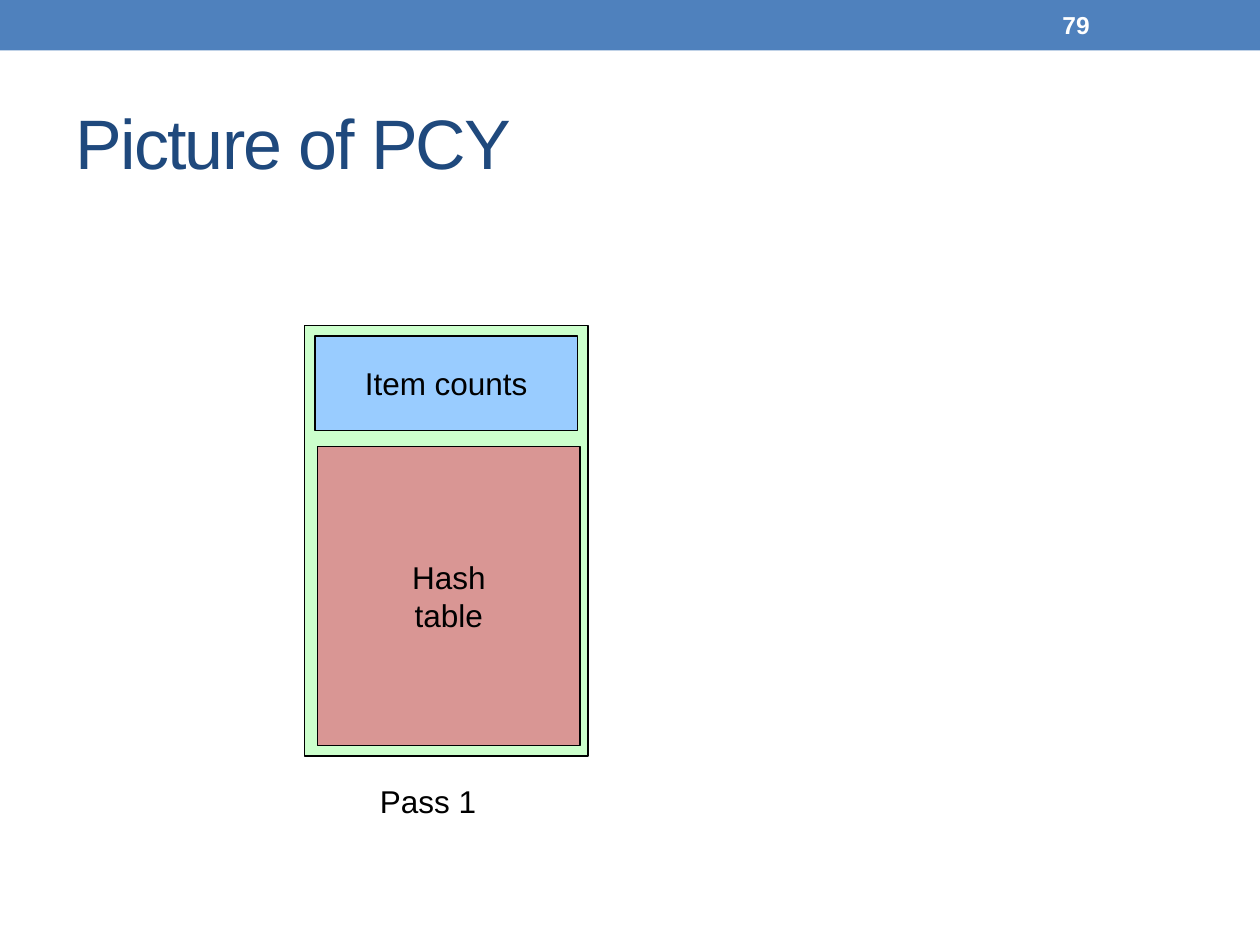
"""Build the slide showing main memory in pass 1 of PCY."""
import dataclasses
import typing

import pptx
import pptx.dml.color
import pptx.enum.shapes
import pptx.enum.text
import pptx.util

UNIT = pptx.util.Inches(1) / 12
COLUMNS, ROWS = 120, 90
ALIGN = pptx.enum.text.PP_ALIGN
ANCHOR = pptx.enum.text.MSO_ANCHOR


@dataclasses.dataclass(frozen=True)
class Area:
    """A rectangle in grid columns and rows."""
    col: float
    row: float
    cols: float
    rows: float

    def emu(self) -> list[int]:
        """Return left, top, width and height in EMU."""
        return [round(v * UNIT) for v in (self.col, self.row, self.cols, self.rows)]


@dataclasses.dataclass(frozen=True)
class Style:
    """The look of a piece of text."""
    size: float = 18
    color: str = "000000"
    bold: bool = False
    spacing: int = 0
    align: typing.Any = ALIGN.LEFT
    anchor: typing.Any = ANCHOR.MIDDLE
    wrap: bool = False


@dataclasses.dataclass(frozen=True)
class Block:
    """A filled rectangle with optional outline and centred lines."""
    area: Area
    fill: str
    outlined: bool = True
    lines: tuple[str, ...] = ()


@dataclasses.dataclass(frozen=True)
class Label:
    """A text box holding one line."""
    area: Area
    text: str
    style: Style


BLOCKS = [
    Block(Area(0, 0, COLUMNS, 4.8), "4F81BD", outlined=False),
    Block(Area(29, 31, 27, 41), "CCFFCC"),
    Block(Area(30, 32, 25, 9), "99CCFF", lines=("Item counts",)),
    Block(Area(30.25, 42.5, 25, 28.5), "D99694", lines=("Hash", "table")),
]
LABELS = [
    Label(Area(100, 0.25, 14, 4.3), "79", Style(14, "FFFFFF", bold=True, wrap=True)),
    Label(Area(6, 7, 108, 13), "Picture of PCY",
          Style(40, "1F497D", spacing=-100, wrap=True)),
    Label(Area(35, 73.9, 13.8, 6), "Pass 1", Style(anchor=ANCHOR.TOP)),
]


def rgb(value: str) -> pptx.dml.color.RGBColor:
    """Turn a hex string into a colour."""
    return pptx.dml.color.RGBColor.from_string(value)


def write(tf: typing.Any, lines: typing.Sequence[str], style: Style) -> None:
    """Fill a text frame with one paragraph per line."""
    tf.word_wrap = style.wrap
    tf.vertical_anchor = style.anchor
    for i, line in enumerate(lines):
        p = tf.add_paragraph() if i else tf.paragraphs[0]
        p.alignment = style.align
        r = p.add_run()
        r.text = line
        r.font.name = "Arial"
        r.font.size = pptx.util.Pt(style.size)
        r.font.bold = style.bold
        r.font.color.rgb = rgb(style.color)
        if style.spacing:
            r.font._element.set("spc", str(style.spacing))


def draw_block(s: typing.Any, block: Block) -> None:
    """Draw a rectangle and its text."""
    sp = s.shapes.add_shape(pptx.enum.shapes.MSO_SHAPE.RECTANGLE, *block.area.emu())
    sp.shadow.inherit = False
    sp.fill.solid()
    sp.fill.fore_color.rgb = rgb(block.fill)
    if block.outlined:
        sp.line.color.rgb = rgb("000000")
        sp.line.width = pptx.util.Pt(0.75)
    else:
        sp.line.fill.background()
    if block.lines:
        write(sp.text_frame, block.lines, Style(align=ALIGN.CENTER))


def draw_label(s: typing.Any, label: Label) -> None:
    """Draw a text box."""
    sp = s.shapes.add_textbox(*label.area.emu())
    write(sp.text_frame, [label.text], label.style)


def main() -> None:
    """Build and save the presentation."""
    prs = pptx.Presentation()
    prs.slide_width = round(COLUMNS * UNIT)
    prs.slide_height = round(ROWS * UNIT)
    s = prs.slides.add_slide(prs.slide_layouts[6])
    for block in BLOCKS:
        draw_block(s, block)
    for label in LABELS:
        draw_label(s, label)
    prs.save("out.pptx")


if __name__ == "__main__":
    main()
